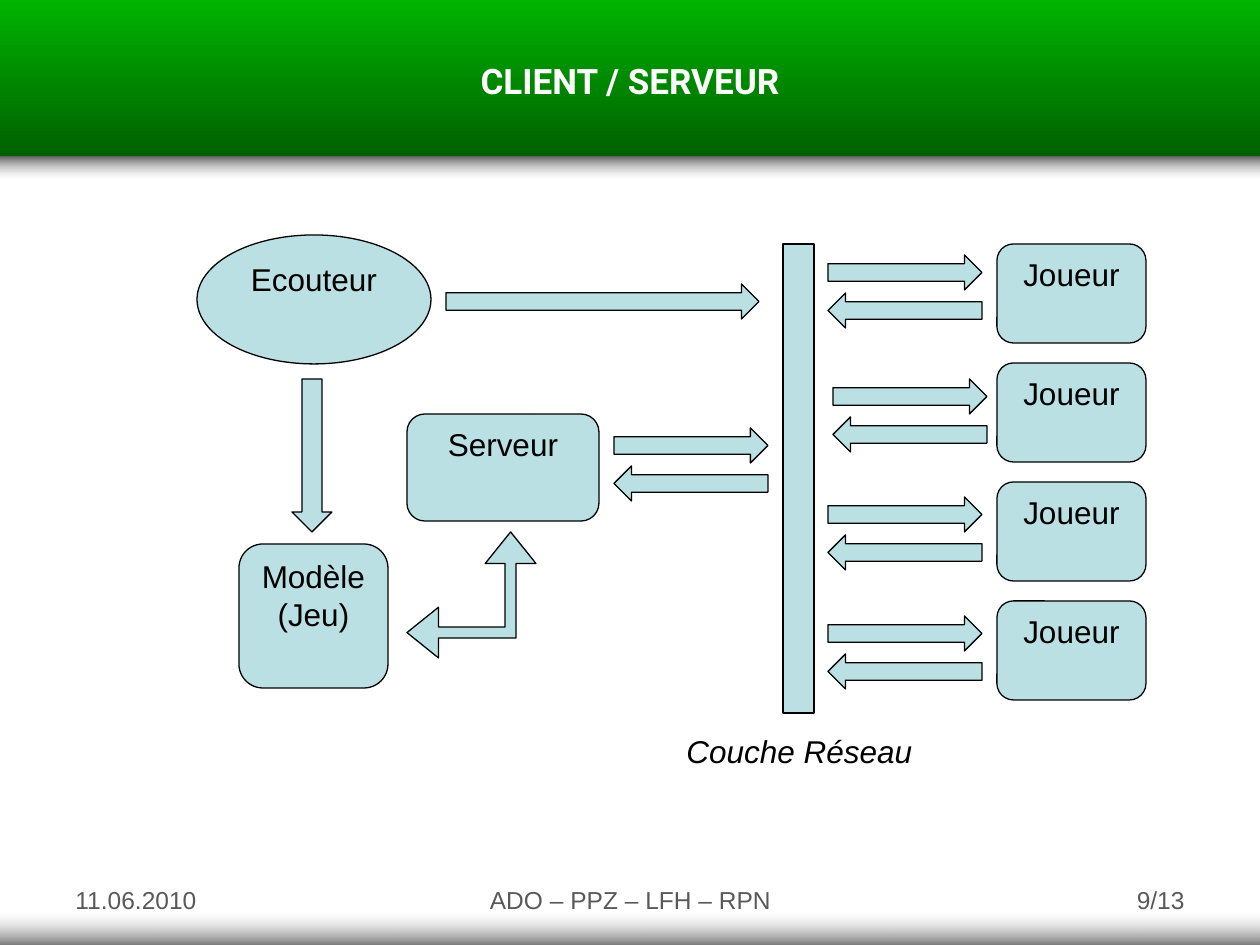
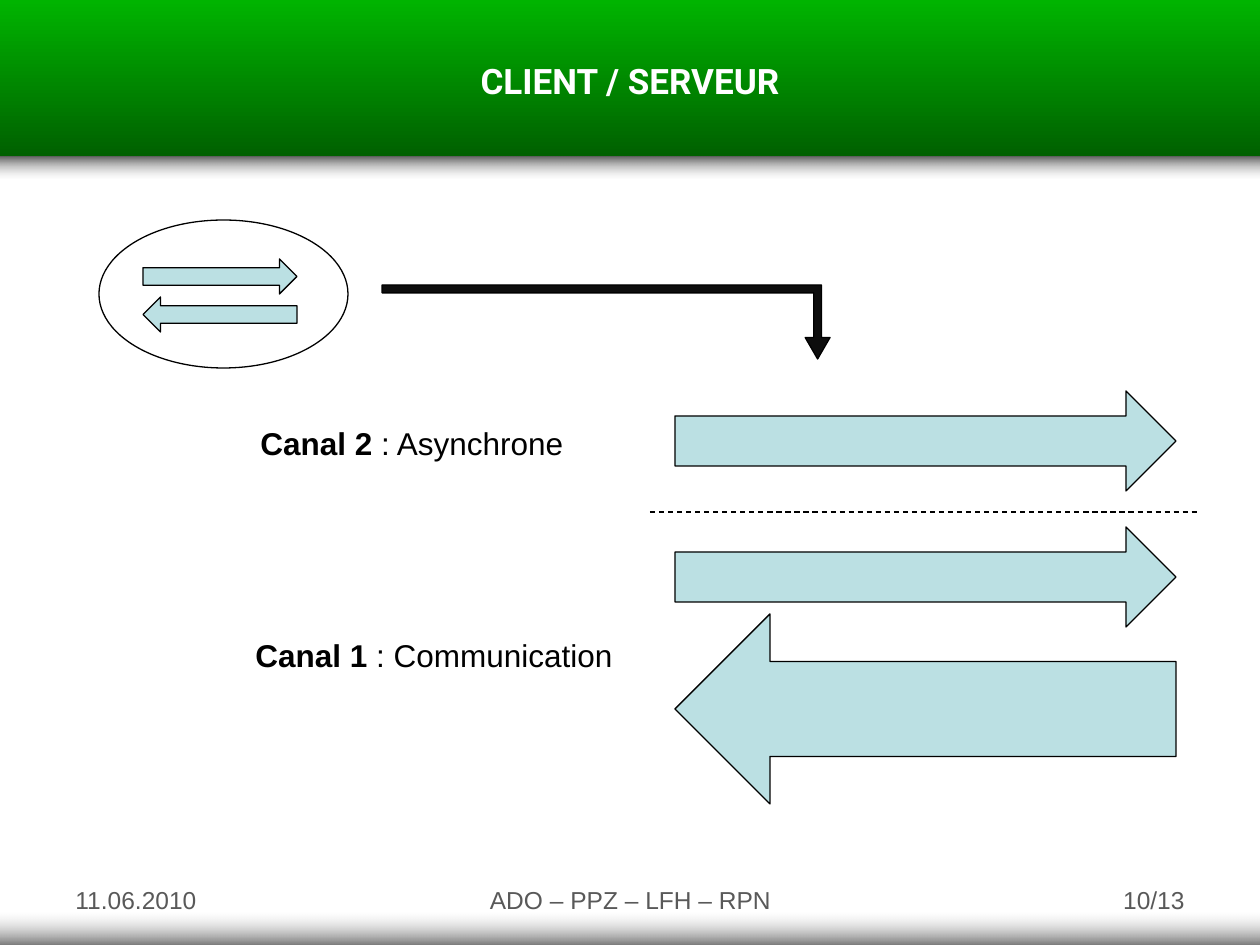
"""Build the two client / server architecture slides."""
from lxml import etree
from pptx import Presentation
from pptx import util as u
from pptx.dml.color import RGBColor
from pptx.enum import dml, shapes, text
from pptx.oxml import ns

SCALE = 914400 / 126
BLACK = RGBColor(0x00, 0x00, 0x00)
WHITE = RGBColor(0xFF, 0xFF, 0xFF)
PALE_BLUE = RGBColor(0xBB, 0xE0, 0xE3)
NEAR_BLACK = RGBColor(0x0D, 0x0D, 0x0D)
FOOTER_GREY = RGBColor(0x59, 0x59, 0x59)
GREEN = RGBColor(0x00, 0xB4, 0x00)
DARK_GREEN = RGBColor(0x00, 0x60, 0x00)
SHADOW_GREY = RGBColor(0x5F, 0x5F, 0x5F)
BASE_GREY = RGBColor(0x76, 0x76, 0x76)
LIGHT_GREY = RGBColor(0xDD, 0xDD, 0xDD)
KIND = shapes.MSO_SHAPE
ALIGN = text.PP_ALIGN


def write(frame, words, lead="", size=18, font="Arial", color=BLACK, bold=False,
          italic=False, align=ALIGN.LEFT, wrap=True):
    frame.word_wrap = wrap
    frame.auto_size = text.MSO_AUTO_SIZE.NONE
    frame.vertical_anchor = text.MSO_ANCHOR.TOP
    for index, line in enumerate(words.split("\n")):
        paragraph = frame.add_paragraph() if index else frame.paragraphs[0]
        paragraph.alignment = align
        for part, heavy in ((lead, True), (line, bold)):
            if part:
                run = paragraph.add_run()
                run.text = part
                run.font.size = u.Pt(size)
                run.font.name = font
                run.font.color.rgb = color
                run.font.bold = heavy
                run.font.italic = italic


def draw(slide, kind, box, fill=PALE_BLUE, adjust=(), label=""):
    block = slide.shapes.add_shape(kind, *(u.Emu(round(n * SCALE)) for n in box))
    block.shadow.inherit = False
    block.line.color.rgb = BLACK
    block.line.width = u.Pt(0.75)
    if fill is None:
        block.fill.background()
    else:
        block.fill.solid()
        block.fill.fore_color.rgb = fill
    for index, value in enumerate(adjust):
        block.adjustments[index] = value
    if label:
        write(block.text_frame, label, align=ALIGN.CENTER)
    return block


deck = Presentation()
deck.slide_width = u.Emu(round(1260 * SCALE))
deck.slide_height = u.Emu(round(945 * SCALE))

bands = [
    ((0, 0, 1260, 157), (GREEN, DARK_GREEN), None),
    ((0, 157, 1260, 22), (SHADOW_GREY, LIGHT_GREY), 1),
    ((0, 913, 1260, 32), (LIGHT_GREY, BASE_GREY), 0),
]
pages = []
for page_number in ("9/13", "10/13"):
    page = deck.slides.add_slide(deck.slide_layouts[5])
    pages.append(page)
    for box, colors, clear_stop in bands:
        band = draw(page, KIND.RECTANGLE, box)
        band.line.fill.background()
        band.fill.gradient()
        band.fill.gradient_angle = 270
        for stop, color in zip(band.fill.gradient_stops, colors):
            stop.color.rgb = color
        if clear_stop is not None:
            stop_colors = list(band.element.spPr.iter(ns.qn("a:srgbClr")))
            etree.SubElement(stop_colors[clear_stop], ns.qn("a:alpha")).set("val", "0")

    title = page.shapes.title
    title.left, title.top, title.width, title.height = (
        u.Emu(round(n * SCALE)) for n in (0, 53, 1260, 54))
    write(title.text_frame, "CLIENT / SERVEUR", size=20, font="Roboto", color=WHITE,
          bold=True, align=ALIGN.CENTER)
    title.element.getparent().append(title.element)

captions = [
    (pages[0], (674, 726, 253, 50), "Couche Réseau", dict(italic=True, wrap=False)),
    (pages[1], (248, 418, 331, 50), ": Asynchrone", dict(lead="Canal 2 ", wrap=False)),
    (pages[1], (243, 630, 382, 50), ": Communication", dict(lead="Canal 1 ", wrap=False)),
]
for page, page_number in zip(pages, ("9/13", "10/13")):
    for left, width, words, align in (
            (63, 294, "11.06.2010", ALIGN.LEFT),
            (431, 399, "ADO – PPZ – LFH – RPN", ALIGN.CENTER),
            (903, 294, page_number, ALIGN.RIGHT)):
        captions.append((page, (left, 879, width, 66), words,
                         dict(size=14, color=FOOTER_GREY, align=align)))
for page, box, words, style in captions:
    caption = page.shapes.add_textbox(*(u.Emu(round(n * SCALE)) for n in box))
    write(caption.text_frame, words, **style)

architecture, channels = pages
for row in range(4):
    draw(architecture, KIND.ROUNDED_RECTANGLE, (997, 244 + 119 * row, 149, 99), label="Joueur")
draw(architecture, KIND.ROUNDED_RECTANGLE, (239, 544, 149, 144), label="Modèle\n(Jeu)")
draw(architecture, KIND.OVAL, (197, 235, 234, 129), label="Ecouteur")
draw(architecture, KIND.ROUNDED_RECTANGLE, (407, 414, 192, 107), label="Serveur")
draw(architecture, KIND.RECTANGLE, (783, 244, 31, 469))
draw(architecture, KIND.DOWN_ARROW, (292, 379, 40, 153))
draw(architecture, KIND.RIGHT_ARROW, (446, 284, 313, 35))
draw(architecture, KIND.LEFT_UP_ARROW, (407, 532, 129, 126), adjust=(0.087, 0.201, 0.25))

draw(channels, KIND.OVAL, (99, 220, 249, 148), fill=None)
draw(channels, KIND.RIGHT_ARROW, (675, 391, 501, 100))
draw(channels, KIND.RIGHT_ARROW, (675, 527, 501, 100))
draw(channels, KIND.LEFT_ARROW, (675, 614, 501, 190))
zoom_arrow = draw(channels, KIND.BENT_UP_ARROW, (382, 285, 448, 74), fill=NEAR_BLACK,
                  adjust=(0.106, 0.168, 0.291))
zoom_arrow.rotation = 180
zoom_arrow.element.spPr.xfrm.set("flipH", "1")

exchanges = [(architecture, 828, 255), (architecture, 833, 379), (architecture, 828, 497),
             (architecture, 828, 616), (architecture, 614, 428), (channels, 143, 259)]
for page, left, top in exchanges:
    draw(page, KIND.RIGHT_ARROW, (left, top, 154, 35))
    draw(page, KIND.LEFT_ARROW, (left, top + 38, 154, 35))

separator = channels.shapes.add_connector(
    shapes.MSO_CONNECTOR.STRAIGHT, *(u.Emu(round(n * SCALE)) for n in (650, 512, 1197, 512)))
separator.line.color.rgb = BLACK
separator.line.width = u.Pt(0.75)
separator.line.dash_style = dml.MSO_LINE.DASH
etree.SubElement(separator.element.spPr, ns.qn("a:effectLst"))

deck.save("out.pptx")
